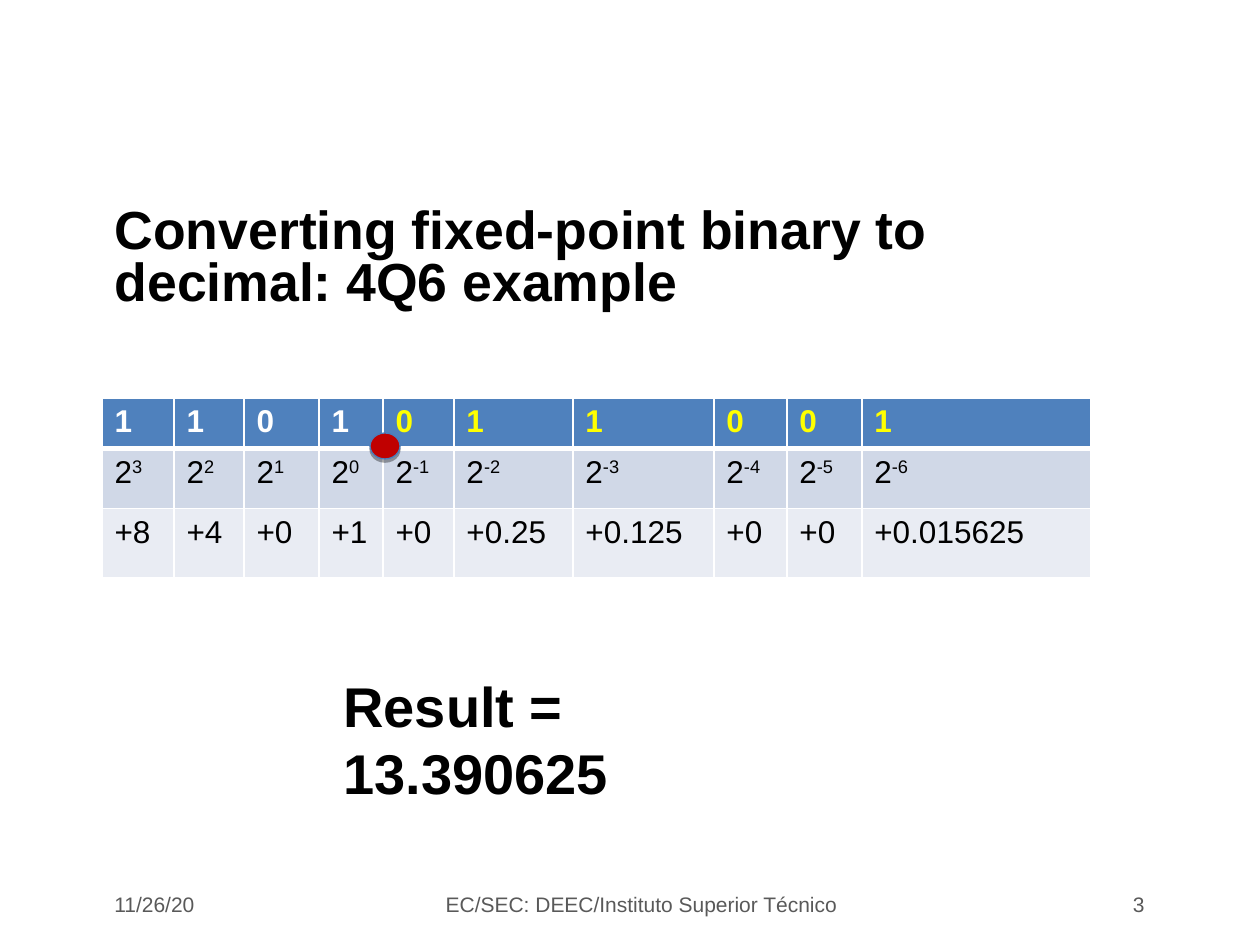
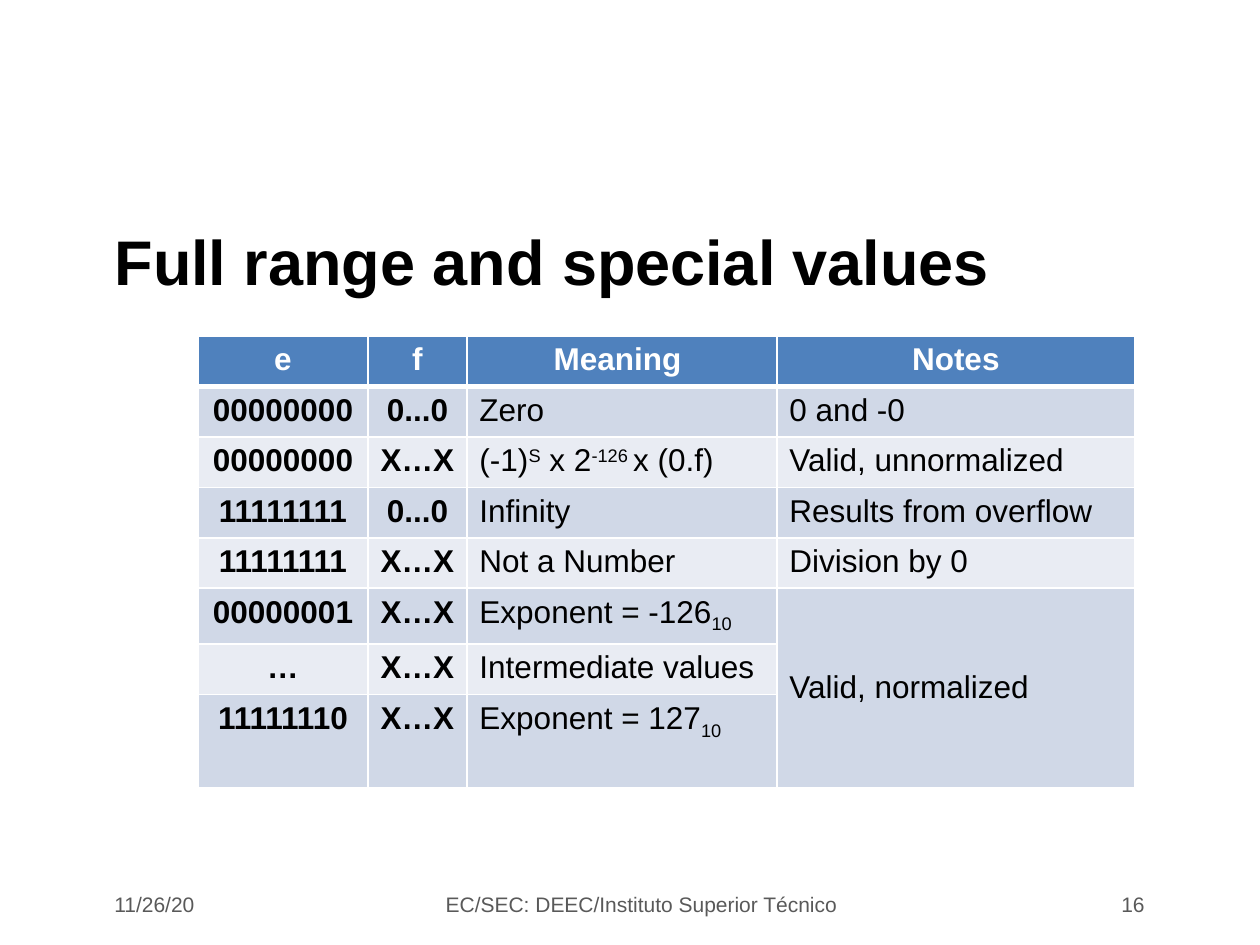
from pptx import Presentation
from pptx.dml.color import RGBColor
from pptx.enum.shapes import MSO_SHAPE
from pptx.enum.text import MSO_ANCHOR, MSO_AUTO_SIZE, PP_ALIGN
from pptx.oxml import parse_xml
from pptx.oxml.ns import nsdecls
from pptx.util import Pt

# Content
DATE = "11/26/20"
COURSE = "EC/SEC: DEEC/Instituto Superior Técnico "

SUPER, SUB = 30000, -25000  # baseline shifts
FIXED_TITLE = "Converting fixed-point binary to decimal: 4Q6 example"
BITS = "1101011001"
INTEGER_BITS = 4
TERMS = ["+8", "+4", "+0", "+1", "+0", "+0.25", "+0.125", "+0", "+0", "+0.015625"]
POWERS = [["2", (str(INTEGER_BITS - 1 - place), SUPER)] for place in range(len(BITS))]
RESULT = "Result = 13.390625"

RANGE_TITLE = "Full range and special values"
RANGE_ROWS = [
    ["e", "f", "Meaning ", "Notes"],
    ["00000000", "0...0", "Zero", "0 and -0"],
    ["00000000", "X…X", ["(-1)", ("S", SUPER), " x 2", ("-126 ", SUPER), "x (0.f)"],
     "Valid, unnormalized"],
    ["11111111", "0...0", "Infinity", "Results from overflow"],
    ["11111111", "X…X", "Not a Number", "Division by 0"],
    ["00000001", "X…X", ["Exponent = -126", ("10", SUB)], "Valid, normalized"],
    ["…", "X…X", "Intermediate values", ""],
    ["11111110", "X…X", ["Exponent = 127", ("10", SUB)], ""],
]
NORMALIZED_ROWS = (5, 7)  # first and last row sharing one note

# Look, lengths in px
PX = 914400 / 126
SLIDE_SIZE = (1260, 945)
FONT = "Arial"
BLACK, WHITE, YELLOW, GREY = "000000", "FFFFFF", "FFFF00", "595959"
HEADER_FILL, BANDS = "4F81BD", ("D0D8E7", "E9ECF3")
POINT_FILL, POINT_LINE = "C00000", "4A7EBB"
THIN, THICK = 0.96, 3

TITLE_BOX = (102, 200, 1055, 120)
FOOTER_TOP, FOOTER_HEIGHT = 883, 43
FIXED_COLUMNS = [72, 70, 75, 64, 71, 119, 141, 73, 75, 229]
FIXED_HEIGHTS = [49, 60, 69]
FIXED_LEFT, FIXED_TOP = 102, 398
POINT_SIZE = (30, 26)
RANGE_COLUMNS = [170, 99, 310, 358]
RANGE_HEIGHTS = [48] * 5 + [53, 48, 93]
RANGE_LEFT, RANGE_TOP = 198, 336


def emu(*lengths):
    return [round(length * PX) for length in lengths]


def rgb(code):
    return RGBColor.from_string(code)


def write(frame, text, size=18, color=BLACK, bold=False, align=PP_ALIGN.LEFT, spacing=None):
    """Fill one paragraph from a string or a list of strings and (string, baseline) pairs."""
    paragraph = frame.paragraphs[0]
    paragraph.alignment = align
    if spacing:
        paragraph.line_spacing = spacing
    for piece in [text] if isinstance(text, str) else text:
        words, baseline = (piece, 0) if isinstance(piece, str) else piece
        run = paragraph.add_run()
        run.text = words
        run.font.name, run.font.size, run.font.bold = FONT, Pt(size), bold
        run.font.color.rgb = rgb(color)
        if baseline:
            run.font._element.set("baseline", str(baseline))


def add_text(slide, box, text, anchor=MSO_ANCHOR.TOP, **style):
    frame = slide.shapes.add_textbox(*emu(*box)).text_frame
    frame.word_wrap = True
    frame.vertical_anchor = anchor
    write(frame, text, **style)


def add_slide(deck, title, number, **title_style):
    """Add a slide with the shared title and footer."""
    slide = deck.slides.add_slide(deck.slide_layouts[5])
    heading = slide.shapes.title
    heading.left, heading.top, heading.width, heading.height = emu(*TITLE_BOX)
    frame = heading.text_frame
    frame.word_wrap = True
    frame.auto_size = MSO_AUTO_SIZE.NONE
    frame.vertical_anchor = MSO_ANCHOR.MIDDLE
    write(frame, title, bold=True, **title_style)
    for left, width, text, align in [
        (102, 255, DATE, PP_ALIGN.LEFT),
        (431, 427, COURSE, PP_ALIGN.CENTER),
        (905, 252, str(number), PP_ALIGN.RIGHT),
    ]:
        add_text(slide, (left, FOOTER_TOP, width, FOOTER_HEIGHT), text,
                 anchor=MSO_ANCHOR.MIDDLE, size=12, color=GREY, align=align)
    return slide


def set_borders(cell, top, bottom):
    properties = cell._tc.get_or_add_tcPr()
    widths = {"lnL": THIN, "lnR": THIN, "lnT": top, "lnB": bottom}
    for place, (side, width) in enumerate(widths.items()):
        properties.insert(place, parse_xml(
            f'<a:{side} {nsdecls("a")} w="{Pt(width)}"><a:solidFill>'
            f'<a:srgbClr val="{WHITE}"/></a:solidFill></a:{side}>'))


def add_grid(slide, left, top, columns, heights, rows, style_of):
    """Add a banded table; style_of(row, column) gives each cell's text format."""
    box = emu(left, top, sum(columns), sum(heights))
    table = slide.shapes.add_table(len(rows), len(columns), *box).table
    for column, width in zip(table.columns, emu(*columns)):
        column.width = width
    for row, height in zip(table.rows, emu(*heights)):
        row.height = height
    for r, texts in enumerate(rows):
        for c, text in enumerate(texts):
            cell = table.cell(r, c)
            cell.fill.solid()
            cell.fill.fore_color.rgb = rgb(BANDS[(r - 1) % 2] if r else HEADER_FILL)
            set_borders(cell, top=THICK if r == 1 else THIN, bottom=THIN if r else THICK)
            if text:
                write(cell.text_frame, text, **style_of(r, c))
    return table


def fixed_style(row, column):
    if row:
        return {}
    return {"bold": True, "color": WHITE if column < INTEGER_BITS else YELLOW}


def range_style(row, column):
    if row and column > 1:
        return {}
    return {"bold": True, "align": PP_ALIGN.CENTER, "color": BLACK if row else WHITE}


def add_binary_point(slide):
    """Mark the boundary between integer and fraction bits."""
    width, height = POINT_SIZE
    center_x = FIXED_LEFT + sum(FIXED_COLUMNS[:INTEGER_BITS]) + 2
    center_y = FIXED_TOP + FIXED_HEIGHTS[0] - 1
    point = slide.shapes.add_shape(
        MSO_SHAPE.OVAL, *emu(center_x - width / 2, center_y - height / 2, width, height))
    point.fill.solid()
    point.fill.fore_color.rgb = rgb(POINT_FILL)
    point.line.color.rgb = rgb(POINT_LINE)
    point.line.width = Pt(0.75)
    point.shadow.inherit = False
    point._element.spPr.find("{*}effectLst").append(parse_xml(
        f'<a:outerShdw {nsdecls("a")} blurRad="0" dist="{Pt(1.8)}" dir="5400000" rotWithShape="0">'
        f'<a:srgbClr val="{BLACK}"><a:alpha val="35000"/></a:srgbClr></a:outerShdw>'))


def main():
    deck = Presentation()
    deck.slide_width, deck.slide_height = emu(*SLIDE_SIZE)

    fixed = add_slide(deck, FIXED_TITLE, 3, size=30.6, spacing=0.8)
    add_grid(fixed, FIXED_LEFT, FIXED_TOP, FIXED_COLUMNS, FIXED_HEIGHTS,
             [list(BITS), POWERS, TERMS], fixed_style)
    add_binary_point(fixed)
    add_text(fixed, (331, 665, 515, 79), RESULT, size=32, bold=True)

    special = add_slide(deck, RANGE_TITLE, 16, size=36)
    table = add_grid(special, RANGE_LEFT, RANGE_TOP, RANGE_COLUMNS, RANGE_HEIGHTS,
                     RANGE_ROWS, range_style)
    first, last = NORMALIZED_ROWS
    note = table.cell(first, 3)
    note.merge(table.cell(last, 3))
    note.vertical_anchor = MSO_ANCHOR.MIDDLE

    deck.save("out.pptx")


if __name__ == "__main__":
    main()
